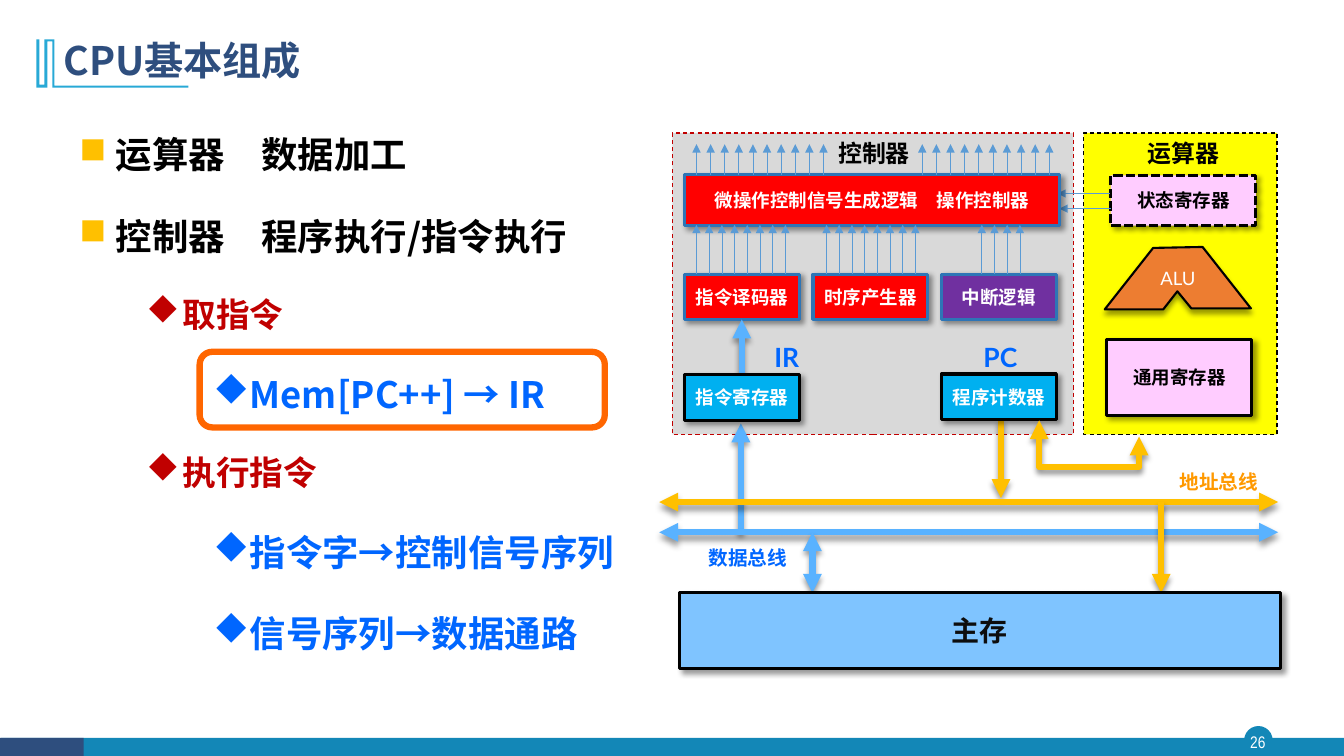
from dataclasses import dataclass
from typing import Optional

import lxml.etree
import pptx
import pptx.dml.color
import pptx.enum.dml
import pptx.enum.shapes
import pptx.enum.text
import pptx.oxml.ns
import pptx.util

Pt = pptx.util.Pt
RGBColor = pptx.dml.color.RGBColor
SHAPE = pptx.enum.shapes.MSO_SHAPE
DASH = pptx.enum.dml.MSO_LINE
ALIGN = pptx.enum.text.PP_ALIGN
ANCHOR = pptx.enum.text.MSO_ANCHOR
qn = pptx.oxml.ns.qn

CJK, LATIN, NARROW = "Noto Sans CJK SC", "Lato", "Arial Narrow"
SQUARE, DIAMOND = "n", "u"  # Wingdings codes
BLACK = RGBColor(0x00, 0x00, 0x00)
INK = RGBColor(0x0D, 0x0D, 0x0D)
WHITE = RGBColor(0xFF, 0xFF, 0xFF)
NAVY = RGBColor(0x2E, 0x4E, 0x7E)
TEAL = RGBColor(0x13, 0x87, 0xB7)
SKY = RGBColor(0x28, 0xA9, 0xD6)
YELLOW = RGBColor(0xFF, 0xFF, 0x00)
GREY = RGBColor(0xD9, 0xD9, 0xD9)
PINK = RGBColor(0xFF, 0xCC, 0xFF)
ORANGE = RGBColor(0xED, 0x7D, 0x31)
BRIGHT_ORANGE = RGBColor(0xFF, 0x66, 0x00)
AMBER = RGBColor(0xFF, 0x99, 0x00)
GOLD = RGBColor(0xFF, 0xC0, 0x00)
RED = RGBColor(0xFF, 0x00, 0x00)
DARK_RED = RGBColor(0xC0, 0x00, 0x00)
PURPLE = RGBColor(0x70, 0x30, 0xA0)
CYAN = RGBColor(0x00, 0xB0, 0xF0)
BLUE = RGBColor(0x00, 0x66, 0xFF)
EDGE_BLUE = RGBColor(0x2E, 0x75, 0xB6)
SIGNAL_BLUE = RGBColor(0x5B, 0x9B, 0xD5)
DATA_BLUE = RGBColor(0x59, 0xB2, 0xFF)
MEMORY_BLUE = RGBColor(0x7F, 0xC4, 0xFF)


@dataclass
class Box:
    left: float
    top: float
    width: float
    height: float
    fill: Optional[RGBColor]
    edge: Optional[RGBColor] = None
    weight: float = 2.25
    text: str = ""
    color: RGBColor = WHITE
    size: float = 13.2
    dash: Optional[DASH] = None
    shadow: bool = False
    kind: SHAPE = SHAPE.RECTANGLE


@dataclass
class Label:
    left: float
    top: float
    width: float
    height: float
    text: str
    size: float
    color: RGBColor
    font: str = CJK
    bold: bool = True
    align: ALIGN = ALIGN.CENTER


@dataclass
class Wire:
    x1: float
    y1: float
    x2: float
    y2: float
    color: RGBColor
    ends: tuple = ("tailEnd",)
    weight: float = 4.5


@dataclass
class Fan:
    left: float
    count: int
    step: float
    bottom: float
    top: float


@dataclass
class Point:
    text: str
    level: int
    size: float
    color: RGBColor


prs = pptx.Presentation()
prs.slide_width, prs.slide_height = Pt(960), Pt(540)
slide = prs.slides.add_slide(prs.slide_layouts[6])
shapes = slide.shapes


def style_text(paragraph, size: float, color: RGBColor, font: str, bold: bool) -> None:
    for run in paragraph.runs:
        run.font.size, run.font.bold, run.font.name = Pt(size), bold, font
        run.font.color.rgb = color
        lxml.etree.SubElement(run.font._element, qn("a:ea"), typeface=font)


def set_effects(shape, angle: Optional[int]) -> None:
    """Remove the theme shadow, then cast a soft one if an angle is given."""
    properties = shape._element.spPr
    effects = properties.find(qn("a:effectLst"))
    if effects is None:
        effects = lxml.etree.SubElement(properties, qn("a:effectLst"))
    if angle is not None:
        cast = lxml.etree.SubElement(effects, qn("a:outerShdw"), blurRad=str(Pt(4)),
                                     dist=str(Pt(3)), dir=str(angle * 60000), rotWithShape="0")
        tint = lxml.etree.SubElement(cast, qn("a:srgbClr"), val="000000")
        lxml.etree.SubElement(tint, qn("a:alpha"), val="40000")


def paint(shape, fill: Optional[RGBColor], edge: Optional[RGBColor], weight: float) -> None:
    shape.shadow.inherit = False
    if fill is None:
        shape.fill.background()
    else:
        shape.fill.solid()
        shape.fill.fore_color.rgb = fill
    if edge is None:
        shape.line.fill.background()
    else:
        shape.line.color.rgb = edge
        shape.line.width = Pt(weight)


def fill_frame(shape, text: str, size: float, color: RGBColor, font: str = CJK,
               bold: bool = True, align: ALIGN = ALIGN.CENTER, inset: float = 3.6):
    frame = shape.text_frame
    frame.text = text
    frame.word_wrap = True
    frame.vertical_anchor = ANCHOR.MIDDLE
    frame.margin_left = frame.margin_right = Pt(inset)
    frame.margin_top = frame.margin_bottom = Pt(min(inset, 3.6))
    frame.paragraphs[0].alignment = align
    style_text(frame.paragraphs[0], size, color, font, bold)
    return frame


def draw_box(box: Box) -> None:
    shape = shapes.add_shape(box.kind, Pt(box.left), Pt(box.top), Pt(box.width), Pt(box.height))
    paint(shape, box.fill, box.edge, box.weight)
    if box.dash is not None:
        shape.line.dash_style = box.dash
    if box.shadow:
        set_effects(shape, 45)
    if box.text:
        fill_frame(shape, box.text, box.size, box.color)


def draw_label(label: Label, inset: float = 0):
    shape = shapes.add_textbox(Pt(label.left), Pt(label.top), Pt(label.width), Pt(label.height))
    return fill_frame(shape, label.text, label.size, label.color, label.font, label.bold,
                      label.align, inset)


def add_arrowheads(line, ends: tuple) -> None:
    for end in ends:
        lxml.etree.SubElement(line._get_or_add_ln(), qn(f"a:{end}"), type="triangle")


def draw_wire(wire: Wire) -> None:
    link = shapes.add_connector(pptx.enum.shapes.MSO_CONNECTOR.STRAIGHT,
                                Pt(wire.x1), Pt(wire.y1), Pt(wire.x2), Pt(wire.y2))
    link.line.color.rgb = wire.color
    link.line.width = Pt(wire.weight)
    add_arrowheads(link.line, wire.ends)
    set_effects(link, 90 if wire.weight > 1 else None)


def draw_outline(corners: list, closed: bool = True):
    points = [(Pt(x), Pt(y)) for x, y in corners]
    builder = shapes.build_freeform(*points[0], scale=1.0)
    builder.add_line_segments(points[1:], close=closed)
    return builder.convert_to_shape()


BOTH = ("headEnd", "tailEnd")

# Footer and title
draw_box(Box(889.2, 519.1, 19.4, 19.4, TEAL, TEAL, 1, kind=SHAPE.OVAL))
draw_box(Box(0.7, 527, 959.3, 13, TEAL))
draw_box(Box(0, 527, 59.8, 13, NAVY))
draw_label(Label(887, 520, 23, 20, "26", 12, WHITE, NARROW, False))
ornament = draw_outline([
    (38.9, 28.1), (38.9, 61.2), (134.6, 61.2), (134.6, 62.6), (37.4, 62.6), (37.4, 29.5),
    (33.8, 29.5), (33.8, 62.6), (25.9, 62.6), (25.9, 28.1), (28.1, 28.1), (28.1, 60.5),
    (31.7, 60.5), (31.7, 28.1)])
paint(ornament, SKY, None, 0)
title = draw_label(Label(38.2, 20.2, 828, 49, "CPU基本组成", 28, NAVY, align=ALIGN.LEFT), 7.2)
title.paragraphs[0].line_spacing = 0.9

# Arithmetic unit
draw_box(Box(774, 95, 138.2, 215.3, YELLOW, BLACK, 0.75, dash=DASH.DASH))
draw_box(Box(790.6, 242.6, 103.7, 54, PINK, BLACK, text="通用寄存器", color=BLACK, shadow=True))
alu = draw_outline([(823.7, 177.1), (789.1, 221), (830.9, 221), (841, 208.1),
                    (851, 220.3), (893.5, 220.3), (859, 176.4)])
paint(alu, ORANGE, BLACK, 1.5)
set_effects(alu, 90)
fill_frame(alu, "ALU", 13.2, WHITE, LATIN, False)
draw_box(Box(793.4, 125.3, 103.7, 36, PINK, BLACK, text="状态寄存器", color=BLACK,
             dash=DASH.SQUARE_DOT, shadow=True))
draw_label(Label(802.8, 98.6, 85, 21.6, "运算器", 17.1, BLACK))

# Control unit panel
draw_box(Box(480.2, 95, 286.6, 215.3, GREY, DARK_RED, 0.75, dash=DASH.DASH))
draw_label(Label(581.8, 98.6, 85, 21.6, "控制器", 17.1, BLACK))

# Buses and main memory
for wire in [
    Wire(715, 299.5, 715, 355.7, GOLD),
    Wire(529.2, 302.4, 529.2, 380.2, DATA_BLUE, ("headEnd",)),
    Wire(792.7, 138.2, 755.3, 138.2, SIGNAL_BLUE, weight=0.5),
    Wire(793.4, 149, 756.7, 149, SIGNAL_BLUE, weight=0.5),
    Wire(470.9, 358.6, 913, 358.6, GOLD, BOTH),
    Wire(470.9, 380.2, 913, 380.2, DATA_BLUE, BOTH),
    Wire(580.3, 380.2, 580.3, 423.4, DATA_BLUE, BOTH),
    Wire(829.4, 358.6, 829.4, 423.4, GOLD),
]:
    draw_wire(wire)
draw_label(Label(831.6, 325.4, 77.8, 36.7, "地址总线", 14, AMBER))
draw_label(Label(495.4, 380.2, 77.8, 36.7, "数据总线", 14, BLUE))
draw_box(Box(485.3, 423.4, 429.1, 54, MEMORY_BLUE, BLACK, text="主存", color=INK, size=20,
             shadow=True))

# Control unit parts
draw_box(Box(488.9, 124.6, 267.8, 36.7, RED, EDGE_BLUE,
             text="微操作控制信号生成逻辑　操作控制器", shadow=True))
for column, (part, fill) in enumerate(
        [("指令译码器", RED), ("时序产生器", RED), ("中断逻辑", PURPLE)]):
    draw_box(Box(488.9 + 91.8 * column, 195.8, 82.1, 32.4, fill, EDGE_BLUE, text=part,
                 shadow=True))
draw_wire(Wire(529.9, 228.2, 529.9, 275.8, DATA_BLUE, ("headEnd",)))
for left, top, register in [(488.9, 267.8, "指令寄存器"), (672.5, 267.1, "程序计数器")]:
    draw_box(Box(left, top, 82.1, 32.4, CYAN, BLACK, text=register, shadow=True))
for left, short_name in [(539.3, "IR"), (691.9, "PC")]:
    draw_label(Label(left, 236.9, 45.4, 36.7, short_name, 18.9, BLUE, LATIN))

# Control signals
for fan in [
    Fan(497.5, 8, 9.07, 195.8, 160.6), Fan(590.4, 8, 9.07, 195.8, 160.6),
    Fan(701.3, 4, 9.07, 195.8, 160.6),
    Fan(497.5, 10, 10.08, 125.3, 103), Fan(658.8, 10, 10.08, 125.3, 103),
]:
    for index in range(fan.count):
        x = fan.left + fan.step * index
        draw_wire(Wire(x, fan.bottom, x, fan.top, SIGNAL_BLUE, weight=0.5))

# Bullet points
outline = shapes.add_textbox(Pt(49.7), Pt(75.6), Pt(403.9), Pt(405.4)).text_frame
outline.word_wrap = True
for index, point in enumerate([
    Point("运算器　数据加工", 0, 26, BLACK),
    Point("控制器　程序执行/指令执行", 0, 26, BLACK),
    Point("取指令", 1, 24, DARK_RED),
    Point("Mem[PC++] → IR", 2, 26, BLUE),
    Point("执行指令", 1, 24, DARK_RED),
    Point("指令字→控制信号序列", 2, 26, BLUE),
    Point("信号序列→数据通路", 2, 26, BLUE),
]):
    paragraph = outline.add_paragraph() if index else outline.paragraphs[0]
    paragraph.text = point.text
    paragraph.level = point.level
    layout = paragraph._p.get_or_add_pPr()
    layout.set("marL", str(Pt(25.9 + 47.8 * point.level)))
    layout.set("indent", str(Pt(-25.9)))
    bullet_color = lxml.etree.SubElement(layout, qn("a:buClr"))
    lxml.etree.SubElement(bullet_color, qn("a:srgbClr"),
                          val=str(point.color if point.level else GOLD))
    lxml.etree.SubElement(layout, qn("a:buFont"), typeface="Wingdings", charset="2")
    lxml.etree.SubElement(layout, qn("a:buChar"), char=DIAMOND if point.level else SQUARE)
    paragraph.line_spacing = 1.5
    paragraph.space_before = Pt(5.7 if index else 0)
    paragraph.space_after = Pt(5.7)
    style_text(paragraph, point.size, point.color, CJK, True)

# Program counter to arithmetic unit, and the fetch highlight
loop = draw_outline([(742.3, 300.2), (742.3, 333.4), (813.6, 333.4), (813.6, 311.8)], False)
paint(loop, None, GOLD, 4.5)
add_arrowheads(loop.line, BOTH)
set_effects(loop, 90)
draw_box(Box(142.6, 251.3, 289.4, 54, None, BRIGHT_ORANGE, 4.5, kind=SHAPE.ROUNDED_RECTANGLE))

prs.save("out.pptx")
